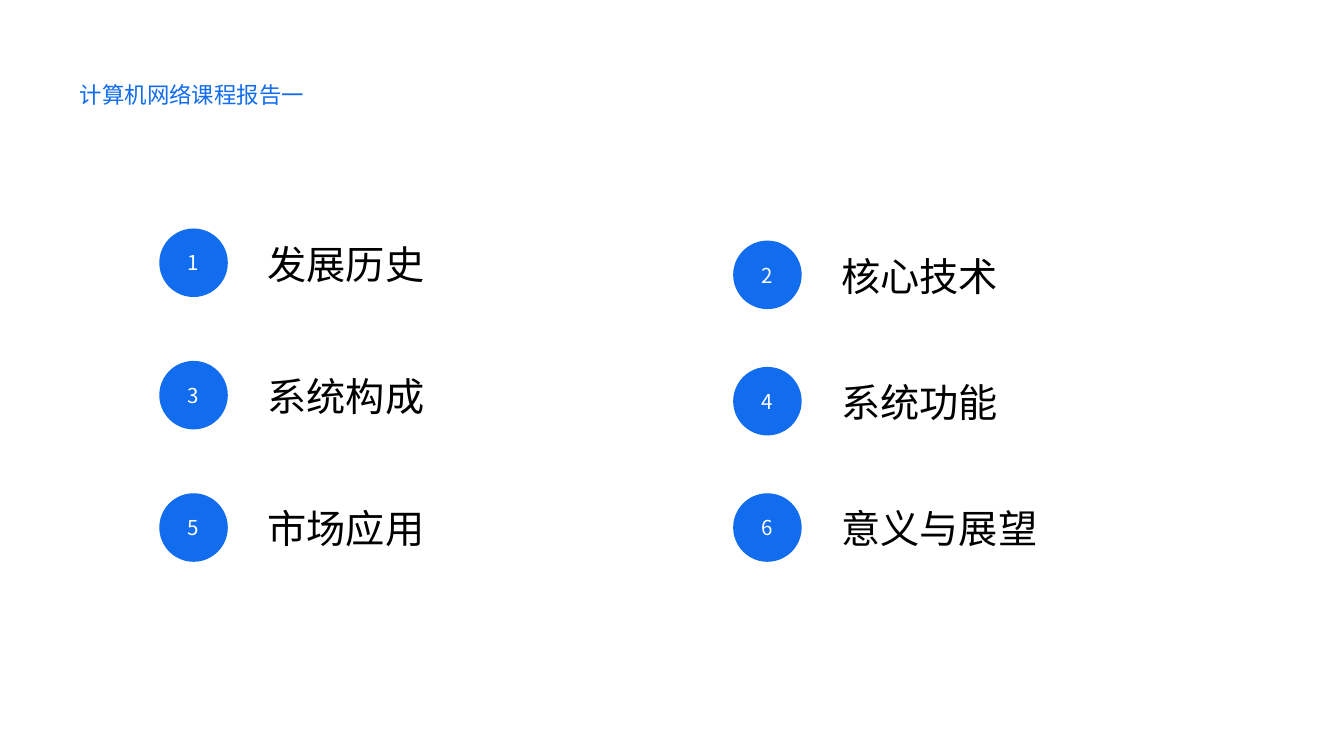
from dataclasses import dataclass
from pptx import Presentation
from pptx.dml.color import RGBColor
from pptx.enum.shapes import MSO_SHAPE
from pptx.enum.text import MSO_ANCHOR, MSO_AUTO_SIZE, PP_ALIGN
from pptx.util import Inches, Pt


@dataclass(frozen=True)
class Theme:
    blue: RGBColor = RGBColor(0x11, 0x6C, 0xEE)
    black: RGBColor = RGBColor(0, 0, 0)
    white: RGBColor = RGBColor(255, 255, 255)
    body: str = "Calibri"
    digit: str = "Noto Sans CJK SC"
    head_size: int = 24
    item_size: int = 42
    num_size: int = 22


theme = Theme()


def set_text(shape, text, font, size, color, inset=0):
    """Fill a shape with one paragraph whose line pitch is 1.2 times the type size."""
    frame = shape.text_frame
    frame.word_wrap = True
    frame.margin_left = frame.margin_right = Inches(inset)
    frame.margin_top = frame.margin_bottom = Inches(inset)
    para = frame.paragraphs[0]
    para.text = text
    para.line_spacing = Pt(size * 1.2)
    para.font.name = font
    para.font.size = Pt(size)
    para.font.color.rgb = color
    return frame


def add_label(left, top, width, height, text, size, color):
    box = slide.shapes.add_textbox(Inches(left), Inches(top), Inches(width), Inches(height))
    frame = set_text(box, text, theme.body, size, color)
    frame.auto_size = MSO_AUTO_SIZE.SHAPE_TO_FIT_TEXT


deck = Presentation()
deck.slide_width, deck.slide_height = Inches(20), Inches(11.25)
slide = deck.slides.add_slide(deck.slide_layouts[6])

add_label(1.19, 1.2, 5.92, 0.4, "计算机网络课程报告一", theme.head_size, theme.blue)

# Topics run across the two columns; both columns end on the same row.
topics = ["发展历史", "核心技术", "系统构成", "系统功能", "市场应用", "意义与展望"]
lefts = [2.37, 10.91]
steps = [1.97, 1.88]
last_top = 7.34
disc = 1.02

for i, topic in enumerate(topics):
    row, col = divmod(i, 2)
    left = lefts[col]
    top = last_top - (2 - row) * steps[col]

    badge = slide.shapes.add_shape(
        MSO_SHAPE.OVAL, Inches(left), Inches(top), Inches(disc), Inches(disc))
    badge.shadow.inherit = False
    badge.fill.solid()
    badge.fill.fore_color.rgb = theme.blue
    badge.line.fill.background()
    frame = set_text(badge, str(i + 1), theme.digit, theme.num_size, theme.white, 0.06)
    frame.vertical_anchor = MSO_ANCHOR.MIDDLE
    frame.paragraphs[0].alignment = PP_ALIGN.CENTER

    add_label(left + 1.61, top + 0.17, 6.47, 0.69, topic, theme.item_size, theme.black)

deck.save("out.pptx")
